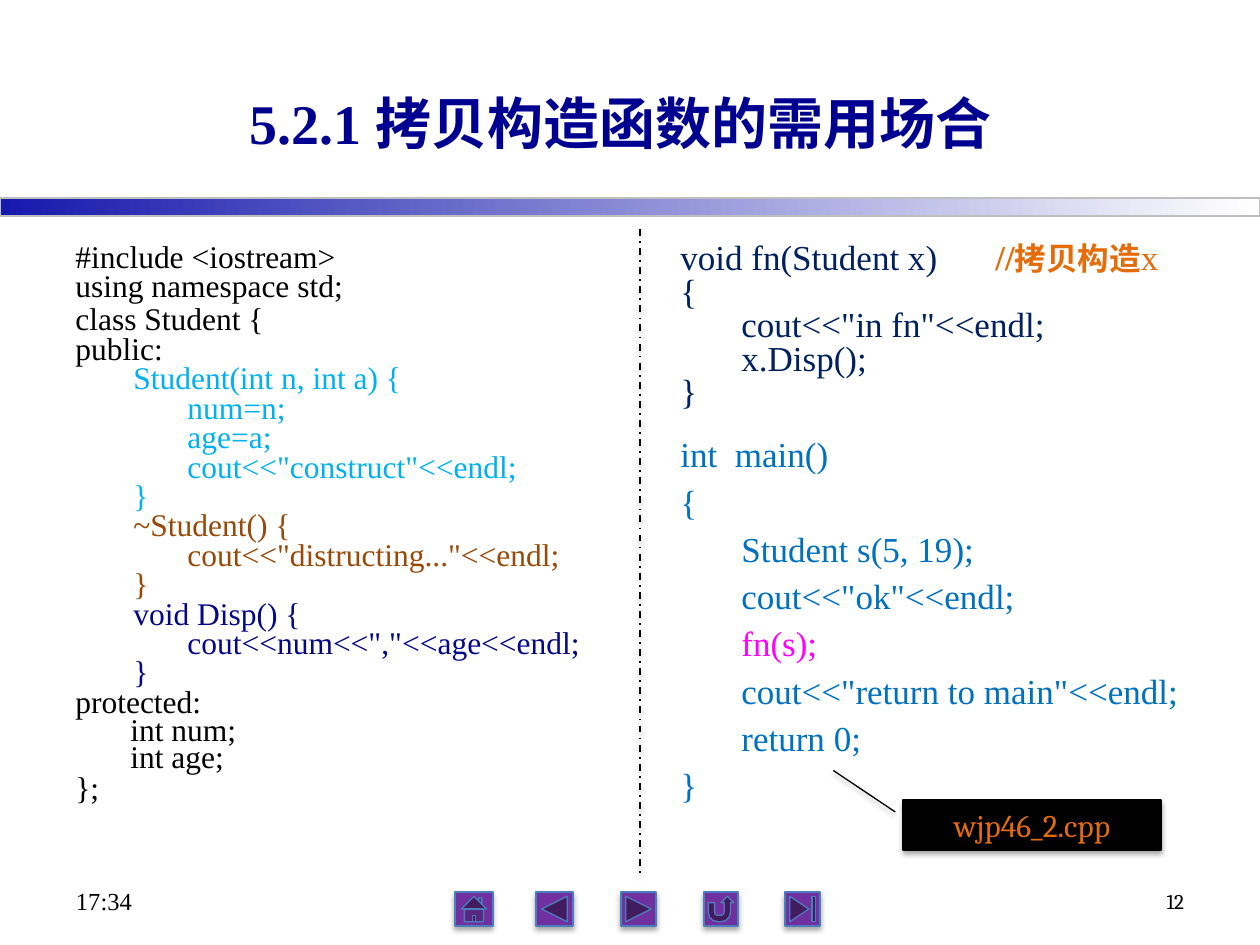
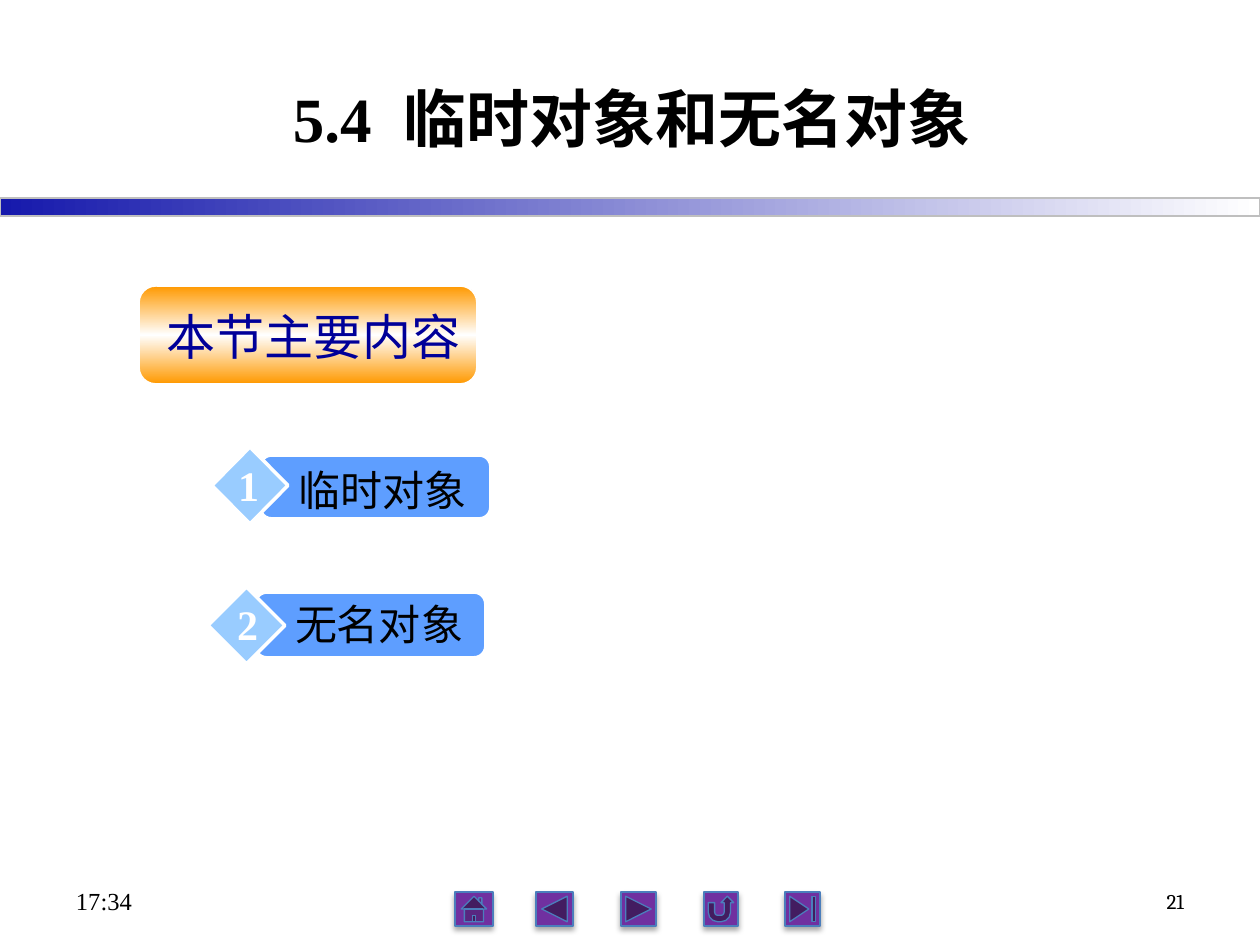
"""Build two lecture slides on copy constructors and temporary objects."""
from lxml import etree
from pptx import Presentation
from pptx.dml.color import RGBColor
from pptx.enum.dml import MSO_LINE
from pptx.enum.shapes import MSO_CONNECTOR, MSO_SHAPE
from pptx.enum.text import MSO_ANCHOR, PP_ALIGN
from pptx.oxml.ns import qn
from pptx.util import Emu, Pt

RECTANGLE = MSO_SHAPE.RECTANGLE
ROUNDED = MSO_SHAPE.ROUNDED_RECTANGLE
DIAMOND = MSO_SHAPE.DIAMOND
CALLOUT = MSO_SHAPE.LINE_CALLOUT_1
STRAIGHT = MSO_CONNECTOR.STRAIGHT
DASH_DOT = MSO_LINE.DASH_DOT
LEFT, CENTER, RIGHT = PP_ALIGN.LEFT, PP_ALIGN.CENTER, PP_ALIGN.RIGHT
TOP, MIDDLE = MSO_ANCHOR.TOP, MSO_ANCHOR.MIDDLE

SERIF, CJK, CAMBRIA, ARIAL = "Times New Roman", "Noto Sans CJK SC", "Cambria", "Arial"
BLACK, WHITE, ORANGE = "000000", "FFFFFF", "E46C0A"
SKY, BROWN, INDIGO = "00B0F0", "984807", "040786"
NAVY, BLUE, PINK = "002060", "0070C0", "FF00FF"
EMU_PER_PX = 914400 / 126
TITLE_SIZE = (983, 158)
COMMENT_TAB = 282

BUTTONS = [
    (MSO_SHAPE.ACTION_BUTTON_HOME, 455, 38),
    (MSO_SHAPE.ACTION_BUTTON_BACK_OR_PREVIOUS, 536, 37),
    (MSO_SHAPE.ACTION_BUTTON_FORWARD_OR_NEXT, 621, 35),
    (MSO_SHAPE.ACTION_BUTTON_RETURN, 704, 34),
    (MSO_SHAPE.ACTION_BUTTON_END, 785, 35),
]

# Code lines: indent in px, colour, line spacing, space before in points, text.
CLASS_CODE = [
    (0, BLACK, 0.5, 6, "#include <iostream>"),
    (0, BLACK, 0.5, 6, "using namespace std;"),
    (0, BLACK, 0.6, 6, "class Student {"),
    (0, BLACK, 0.5, 6, "public:"),
    (58, SKY, 0.5, 6, "Student(int n, int a) {"),
    (112, SKY, 0.5, 6, "num=n;"),
    (112, SKY, 0.5, 6, "age=a;"),
    (112, SKY, 0.5, 6, 'cout<<"construct"<<endl;'),
    (58, SKY, 0.5, 6, "}"),
    (58, BROWN, 0.5, 6, "~Student() {"),
    (112, BROWN, 0.5, 6, 'cout<<"distructing..."<<endl;'),
    (58, BROWN, 0.5, 6, "}"),
    (58, INDIGO, 0.5, 6, "void Disp() {"),
    (112, INDIGO, 0.5, 6, 'cout<<num<<","<<age<<endl;'),
    (58, INDIGO, 0.5, 6, "}"),
    (0, BLACK, 0.5, 6, "protected:"),
    (55, BLACK, 0.8, 0, "int num;"),
    (55, BLACK, 0.7, 0, "int age;"),
    (0, BLACK, 0.5, 6, "};"),
]
COMMENT = [
    ("//", {"color": ORANGE, "bold": True}),
    ("拷贝构造", {"color": ORANGE, "bold": True, "size": 18, "font": CJK}),
    ("x", {"color": ORANGE}),
]
MAIN_CODE = [
    (0, NAVY, 1.0, 6, [("void fn(Student x)\t", {}), *COMMENT]),
    (0, NAVY, 0.8, 0, "{"),
    (61, NAVY, 0.8, 0, 'cout<<"in fn"<<endl;'),
    (61, NAVY, 0.8, 0, "x.Disp();"),
    (0, NAVY, 0.8, 0, "}"),
    (0, BLUE, 1.0, 12, "int  main()"),
    (0, BLUE, 1.0, 3, "{"),
    (61, BLUE, 1.0, 3, "Student s(5, 19);"),
    (61, BLUE, 1.0, 3, 'cout<<"ok"<<endl;'),
    (61, PINK, 1.0, 3, "fn(s);"),
    (61, BLUE, 1.0, 3, 'cout<<"return to main"<<endl;'),
    (61, BLUE, 1.0, 3, "return 0;"),
    (0, BLUE, 1.0, 3, "}"),
]
# Topics: bar, diamond, label and number boxes in px.
TOPICS = [
    ("1", "临时对象", (261, 456, 229, 62), (212, 447, 76, 77),
     (286, 454, 204, 64), (224, 454, 49, 63), (13, 11, 13, 1)),
    ("2", "无名对象", (256, 593, 229, 64), (208, 587, 77, 77),
     (282, 593, 194, 63), (224, 593, 47, 63), (13, 6, 13, 6)),
]


def px(length):
    """Turn pixels into EMU."""
    return Emu(round(length * EMU_PER_PX))


def rgb(color):
    """Turn a hex string into a colour."""
    return RGBColor.from_string(color)


def child(parent, tag, **attributes):
    """Append a DrawingML element with attributes."""
    values = {name: str(value) for name, value in attributes.items()}
    return etree.SubElement(parent, qn(f"a:{tag}"), values)


def set_effects(shape, opacity=None):
    """Replace the theme shadow by none or by a soft one below the shape."""
    effects = child(shape._element.spPr, "effectLst")
    if opacity:
        shadow = child(effects, "outerShdw", blurRad=Pt(3.1), dist=Pt(1.8), dir=5400000,
                       algn="t", rotWithShape=0)
        child(child(shadow, "srgbClr", val=BLACK), "alpha", val=opacity * 1000)


def add_box(slide, kind, box, fill, line, width, opacity=None, adjustments=(), angle=0):
    """Add a preset shape; a list of colours as fill makes an even gradient."""
    shape = slide.shapes.add_shape(kind, *map(px, box))
    for index, value in enumerate(adjustments):
        shape.adjustments[index] = value
    if isinstance(fill, str):
        shape.fill.solid()
        shape.fill.fore_color.rgb = rgb(fill)
    else:
        shape.fill.gradient()
        shape.fill.gradient_angle = angle
        stops = shape._element.spPr.find(qn("a:gradFill")).find(qn("a:gsLst"))
        for stop in list(stops):
            stops.remove(stop)
        for index, color in enumerate(fill):
            position = index * 100000 // (len(fill) - 1)
            child(child(stops, "gs", pos=position), "srgbClr", val=color)
    shape.line.color.rgb = rgb(line)
    shape.line.width = Pt(width)
    set_effects(shape, opacity)
    return shape


def add_run(paragraph, text, size=18, font=SERIF, color=BLACK, bold=False):
    """Add one formatted run."""
    run = paragraph.add_run()
    run.text = text
    run.font.size = Pt(size)
    run.font.name = font
    run.font.bold = bold
    run.font.color.rgb = rgb(color)
    child(run._r.get_or_add_rPr(), "ea", typeface=CJK)


def add_runs(paragraph, text, **style):
    """Add a plain string or a list of (text, overrides) runs."""
    runs = [(text, {})] if isinstance(text, str) else text
    for part, overrides in runs:
        add_run(paragraph, part, **{**style, **overrides})


def set_text(shape, text, align=LEFT, anchor=TOP, insets=(13, 6, 13, 6), wrap=True, **style):
    """Write one paragraph into a shape."""
    frame = shape.text_frame
    frame.word_wrap = wrap
    frame.vertical_anchor = anchor
    (frame.margin_left, frame.margin_top,
     frame.margin_right, frame.margin_bottom) = map(px, insets)
    frame.paragraphs[0].alignment = align
    add_runs(frame.paragraphs[0], text, **style)


def add_label(slide, box, text, **style):
    """Add a text box."""
    set_text(slide.shapes.add_textbox(*map(px, box)), text, **style)


def add_code(slide, box, lines, size):
    """Add a white box with indented lines of code."""
    shape = slide.shapes.add_textbox(*map(px, box))
    shape.fill.solid()
    shape.fill.fore_color.rgb = rgb(WHITE)
    frame = shape.text_frame
    frame.word_wrap = True
    for index, (indent, color, spacing, before, text) in enumerate(lines):
        paragraph = frame.add_paragraph() if index else frame.paragraphs[0]
        paragraph.line_spacing = spacing
        paragraph.space_before = Pt(before)
        properties = paragraph._p.get_or_add_pPr()
        properties.set("marL", str(px(indent)))
        properties.set("indent", "0")
        if "\t" in text[0][0]:
            child(child(properties, "tabLst"), "tab", pos=px(COMMENT_TAB), algn="l")
        add_runs(paragraph, text, size=size, color=color)


def move_decor_to_layout(slide):
    """Build the band and the navigation buttons once, on the slide layout."""
    decor = [add_box(slide, RECTANGLE, (0, 198, 1260, 18), ["1619AC", WHITE], "BFBFBF", 0.75)]
    for kind, left, width in BUTTONS:
        decor.append(add_box(slide, kind, (left, 892, width, 34), "7030A0", "4B7EBC", 0.75, 35))
    for shape in decor:
        slide.slide_layout.shapes._spTree.append(shape._element)


def add_slide(presentation, layout, title, position, number, **style):
    """Add a slide with title, time and number."""
    slide = presentation.slides.add_slide(layout)
    heading = slide.shapes.title
    heading.left, heading.top = map(px, position)
    heading.width, heading.height = map(px, TITLE_SIZE)
    set_text(heading, title, align=CENTER, anchor=MIDDLE, bold=True, **style)
    add_label(slide, (63, 876, 294, 50), "17:34", anchor=MIDDLE, size=14)
    add_label(slide, (903, 876, 294, 50), number, align=RIGHT, anchor=MIDDLE,
              size=12, font=CAMBRIA)
    return slide


def fill_code_slide(slide):
    """Show the two code columns, the divider and the file callout."""
    add_code(slide, (63, 247, 563, 571), CLASS_CODE, 18)
    add_code(slide, (668, 229, 529, 599), MAIN_CODE, 20)
    divider = slide.shapes.add_connector(STRAIGHT, *map(px, (640, 229, 640, 876)))
    divider.line.color.rgb = rgb(BLACK)
    divider.line.width = Pt(1)
    divider.line.dash_style = DASH_DOT
    set_effects(divider, 38)
    callout = add_box(slide, CALLOUT, (903, 800, 258, 50), BLACK, BLACK, 0.75, 35,
                      (0.24, -0.03, -0.59, -0.27))
    set_text(callout, "wjp46_2.cpp", align=CENTER, anchor=MIDDLE, font=CAMBRIA, color=ORANGE)


def fill_topic_slide(slide):
    """Show the section heading and its numbered topics."""
    add_box(slide, ROUNDED, (139, 286, 338, 98), ["FF9900", WHITE, "FF9900"], WHITE, 1,
            adjustments=(0.17,), angle=90)
    add_label(slide, (154, 295, 323, 72), "本节主要内容", insets=(13, 11, 13, 1),
              size=28, font=ARIAL, color="000099")
    for number, topic, bar, diamond, label, number_box, insets in TOPICS:
        add_box(slide, ROUNDED, bar, "5E9EFF", WHITE, 1, adjustments=(0.17,))
        add_box(slide, DIAMOND, diamond, "99CCFF", WHITE, 2)
        add_label(slide, label, topic, insets=insets, size=24)
        add_label(slide, number_box, number, align=CENTER, wrap=False,
                  size=24, color=WHITE, bold=True)


def main():
    """Build and save the presentation."""
    presentation = Presentation()
    presentation.slide_width, presentation.slide_height = px(1260), px(945)
    layout = presentation.slide_layouts[5]
    code_slide = add_slide(presentation, layout, "5.2.1 拷贝构造函数的需用场合", (129, 43), "12",
                           size=32, color="000090")
    move_decor_to_layout(code_slide)
    fill_code_slide(code_slide)
    topic_title = [("5.4  ", {}), ("临时对象和无名对象", {"font": CJK})]
    fill_topic_slide(add_slide(presentation, layout, topic_title, (140, 38), "21", size=36))
    presentation.save("out.pptx")


if __name__ == "__main__":
    main()
